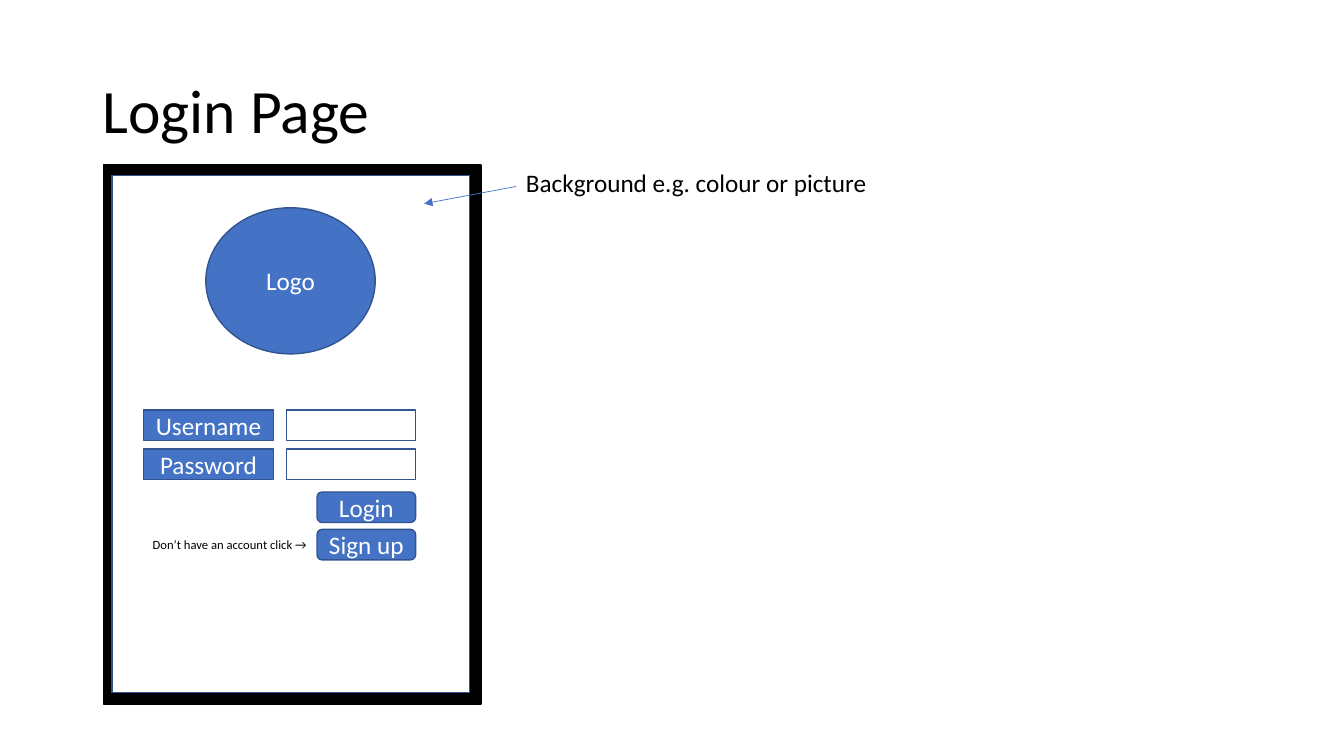
from lxml.etree import SubElement
from pptx import Presentation
from pptx.dml.color import RGBColor
from pptx.enum.shapes import MSO_CONNECTOR as Link, MSO_SHAPE as Form
from pptx.enum.text import MSO_ANCHOR as Anchor, MSO_AUTO_SIZE as Fit, PP_ALIGN as Align
from pptx.oxml.ns import qn
from pptx.util import Pt

BLACK = RGBColor(0x00, 0x00, 0x00)
WHITE = RGBColor(0xFF, 0xFF, 0xFF)
BLUE = RGBColor(0x44, 0x72, 0xC4)
NAVY = RGBColor(0x32, 0x54, 0x91)


def write(frame, text, size=18, color=BLACK, align=Align.LEFT, anchor=Anchor.TOP,
          space=1.0, wrap=True, fit=Fit.NONE):
    frame.word_wrap, frame.auto_size = wrap, fit
    frame.vertical_anchor = anchor
    para = frame.paragraphs[0]
    para.alignment, para.line_spacing = align, space
    run = para.add_run()
    run.text = text
    run.font.name, run.font.size = "Calibri", Pt(size)
    run.font.color.rgb = color


class Page:
    def __init__(self, slide, fill=BLUE, edge=NAVY, width=1):
        self.slide, self.shapes = slide, slide.shapes
        self.fill, self.edge, self.width = fill, edge, width

    def title(self, text, box):
        head = self.shapes.title
        head.left, head.top, head.width, head.height = map(Pt, box)
        write(head.text_frame, text, size=44, anchor=Anchor.MIDDLE, space=0.9)

    def shape(self, form, box, text=None, fill=None, edge=None):
        item = self.shapes.add_shape(form, *map(Pt, box))
        item.shadow.inherit = False
        item.fill.solid()
        item.fill.fore_color.rgb = self.fill if fill is None else fill
        item.line.color.rgb = self.edge if edge is None else edge
        item.line.width = Pt(self.width)
        if text:
            write(item.text_frame, text, color=WHITE, align=Align.CENTER, anchor=Anchor.MIDDLE)

    def label(self, box, text, **style):
        item = self.shapes.add_textbox(*map(Pt, box))
        write(item.text_frame, text, fit=Fit.SHAPE_TO_FIT_TEXT, **style)

    def arrow(self, start, end):
        item = self.shapes.add_connector(Link.STRAIGHT, *map(Pt, start + end))
        item.line.color.rgb, item.line.width = self.fill, Pt(0.5)
        SubElement(item.line._get_or_add_ln(), qn("a:tailEnd"), type="triangle")
        SubElement(item._element.spPr, qn("a:effectLst"))


deck = Presentation()
deck.slide_width, deck.slide_height = Pt(960), Pt(540)
page = Page(deck.slides.add_slide(deck.slide_layouts[5]))
page.title("Login Page", (66, 28.75, 828, 104.4))

# Phone frame and screen
page.shape(Form.RECTANGLE, (74, 118, 269.5, 385), fill=BLACK, edge=BLACK)
page.shape(Form.RECTANGLE, (80, 125.3, 255.5, 369.4), fill=WHITE)

# Background note
page.arrow((368.6, 133.2), (303, 145.5))
page.label((368.6, 116, 265, 29), "Background e.g. colour or picture", wrap=False)

# Logo spot
page.shape(Form.OVAL, (147, 148.4, 121, 104.4), "Logo")

# Names with entry fields
HIGH = 21.8
for row, name in enumerate(("Username", "Password")):
    top = 293 + row * 27.8
    page.shape(Form.RECTANGLE, (102.6, top, 92.6, HIGH), name)
    page.shape(Form.RECTANGLE, (204.5, top, 92.4, HIGH), fill=WHITE)

# Buttons
for row, name in enumerate(("Login", "Sign up")):
    page.shape(Form.ROUNDED_RECTANGLE, (226.5, 351.4 + row * 26.7, 70.4, HIGH), name)
page.label((102, 380.2, 132, 18), "Don’t have an account click →", size=9)

deck.save("out.pptx")
